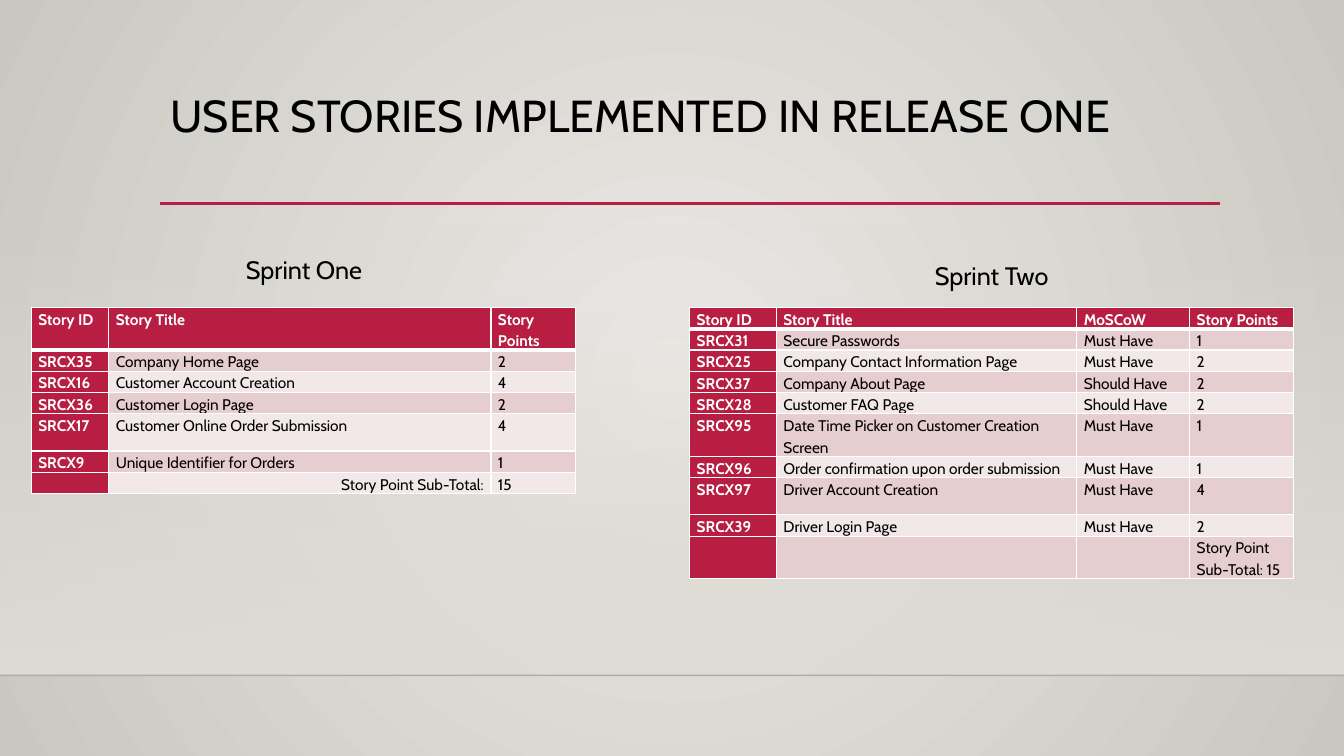
from lxml.etree import SubElement
from pptx import Presentation
from pptx.dml.color import RGBColor
from pptx.enum.shapes import MSO_CONNECTOR, MSO_SHAPE
from pptx.enum.text import MSO_ANCHOR, MSO_AUTO_SIZE, PP_ALIGN as ALIGN
from pptx.oxml.ns import qn
from pptx.util import Inches, Pt

CRIMSON = RGBColor(0xB7, 0x1E, 0x42)
ROSE = RGBColor(0xE6, 0xCD, 0xCF)
BLUSH = RGBColor(0xF3, 0xE8, 0xE9)
WHITE = RGBColor(0xFF, 0xFF, 0xFF)
BLACK = RGBColor(0, 0, 0)
NEAR_BLACK = RGBColor(0, 0, 1)
PALE = RGBColor(0xEC, 0xEA, 0xE7)
STONE = RGBColor(0xCA, 0xC7, 0xC1)
SAND = RGBColor(0xDF, 0xDB, 0xD5)
FONT = "Cabin"
FLOOR, TABLE_TOP = 6.7, 3.05
LINE_ROW, TALL_ROW = 0.2, 0.37


def set_text(paragraph, text, size, color, bold=False, align=ALIGN.LEFT):
    paragraph.alignment = align
    run = paragraph.add_run()
    run.text = text
    style = {"name": FONT, "size": Pt(size), "bold": bold}
    for attribute, value in style.items():
        setattr(run.font, attribute, value)
    run.font.color.rgb = color


def set_alpha(fill_element, percent):
    color = next(fill_element.iter(qn("a:srgbClr")))
    SubElement(color, qn("a:alpha"), val=str(percent * 1000))


deck = Presentation()
deck.slide_width, deck.slide_height = Inches(13.33), Inches(7.5)
slide = deck.slides.add_slide(deck.slide_layouts[5])
shapes = slide.shapes

# Radial background
backdrop = slide.background.fill
backdrop.gradient()
for stop, color in zip(backdrop.gradient_stops, (PALE, STONE)):
    stop.color.rgb = color
gradient = next(slide.element.iter(qn("a:gradFill")))
gradient.remove(gradient.find(qn("a:lin")))
circle = SubElement(gradient, qn("a:path"), path="circle")
SubElement(circle, qn("a:fillToRect"), {side: "50000" for side in "ltrb"})

# Wall band that fades in towards the floor
wall = shapes.add_shape(MSO_SHAPE.RECTANGLE, 0, Inches(2.21),
                        deck.slide_width, Inches(FLOOR - 2.21))
wall.shadow.inherit = False
wall.line.fill.background()
wall.fill.gradient()
wall.fill.gradient_angle = 270
for stop in wall.fill.gradient_stops:
    stop.color.rgb = SAND
set_alpha(next(wall.element.iter(qn("a:gradFill"))), 0)

# Floor line and title rule
for left, right, y, color, width, alpha in (
    (0, 13.33, FLOOR, NEAR_BLACK, 1, 20),
    (1.59, 12.1, 2.02, CRIMSON, 2.5, 100),
):
    rule = shapes.add_connector(MSO_CONNECTOR.STRAIGHT, Inches(left), Inches(y),
                                Inches(right), Inches(y))
    rule.line.color.rgb = color
    rule.line.width = Pt(width)
    set_alpha(rule.element.spPr, alpha)
    SubElement(rule.element.spPr, qn("a:effectLst"))

# Title, in front of the wall
title = shapes.title
title.left, title.top, title.width, title.height = map(Inches, (1.59, 0.88, 10.5, 1.15))
title.text_frame.auto_size = MSO_AUTO_SIZE.NONE
title.text_frame.vertical_anchor = MSO_ANCHOR.TOP
title.text_frame.paragraphs[0].line_spacing = 0.9
set_text(title.text_frame.paragraphs[0], "USER STORIES IMPLEMENTED IN RELEASE ONE", 32, BLACK)
wall.element.getparent().append(title.element)

# Sprints: heading, heading position, table left, column widths, tall row, rows
sprints = (
    ("Sprint Two", (8.41, 2.53), 6.84, (0.86, 2.98, 1.12, 1.03), 7, (
        ("Story ID", "Story Title", "MoSCoW", "Story Points"),
        ("SRCX31", "Secure Passwords", "Must Have", "1"),
        ("SRCX25", "Company Contact Information Page", "Must Have", "2"),
        ("SRCX37", "Company About Page", "Should Have", "2"),
        ("SRCX28", "Customer FAQ Page", "Should Have", "2"),
        ("SRCX95", "Date Time Picker on Customer Creation Screen", "Must Have", "1"),
        ("SRCX96", "Order confirmation upon order submission", "Must Have", "1"),
        ("SRCX97", "Driver Account Creation", "Must Have", "4"),
        ("SRCX39", "Driver Login Page", "Must Have", "2"),
        ("", "", "", "Story Point Sub-Total: 15"),
    )),
    ("Sprint One", (1.59, 2.47), 0.31, (0.77, 3.79, 0.84), 4, (
        ("Story ID", "Story Title", "Story Points"),
        ("SRCX35", "Company Home Page", "2"),
        ("SRCX16", "Customer Account Creation", "4"),
        ("SRCX36", "Customer Login Page", "2"),
        ("SRCX17", "Customer Online Order Submission", "4"),
        ("SRCX9", "Unique Identifier for Orders", "1"),
        ("", "Story Point Sub-Total:", "15"),
    )),
)
for heading, (x, y), left, widths, tall_row, stories in sprints:
    caption = shapes.add_textbox(Inches(x), Inches(y), Inches(2.85), Inches(0.4)).text_frame
    caption.word_wrap = True
    set_text(caption.paragraphs[0], heading, 18, BLACK, align=ALIGN.CENTER)

    table = shapes.add_table(len(stories), len(widths), Inches(left), Inches(TABLE_TOP),
                             Inches(sum(widths)), Inches(LINE_ROW * len(stories))).table
    for column, width in zip(table.columns, widths):
        column.width = Inches(width)
    for r, story in enumerate(stories):
        table.rows[r].height = Inches(TALL_ROW if r == tall_row else LINE_ROW)
        for c, text in enumerate(story):
            cell = table.cell(r, c)
            strong = r == 0 or c == 0
            margins = {"margin_left": 0.07, "margin_right": 0.07,
                       "margin_top": 0, "margin_bottom": 0}
            for side, margin in margins.items():
                setattr(cell, side, Inches(margin))

            # White borders, thick below the header
            for edge in "LRTB":
                points = 3 if (edge, r) in (("B", 0), ("T", 1)) else 1
                border = SubElement(cell._tc.tcPr, qn(f"a:ln{edge}"), w=str(Pt(points)))
                paint = SubElement(border, qn("a:solidFill"))
                SubElement(paint, qn("a:srgbClr"), val=str(WHITE))
            cell.fill.solid()
            cell.fill.fore_color.rgb = CRIMSON if strong else ROSE if r % 2 else BLUSH

            paragraph = cell.text_frame.paragraphs[0]
            paragraph.line_spacing = 1.15
            paragraph.space_after = Pt(10)
            if text:
                set_text(paragraph, text, 11, WHITE if strong else BLACK, strong,
                         ALIGN.RIGHT if text.endswith(":") else ALIGN.LEFT)
            else:
                SubElement(paragraph._p, qn("a:endParaRPr"), sz="1100")

deck.save("out.pptx")
